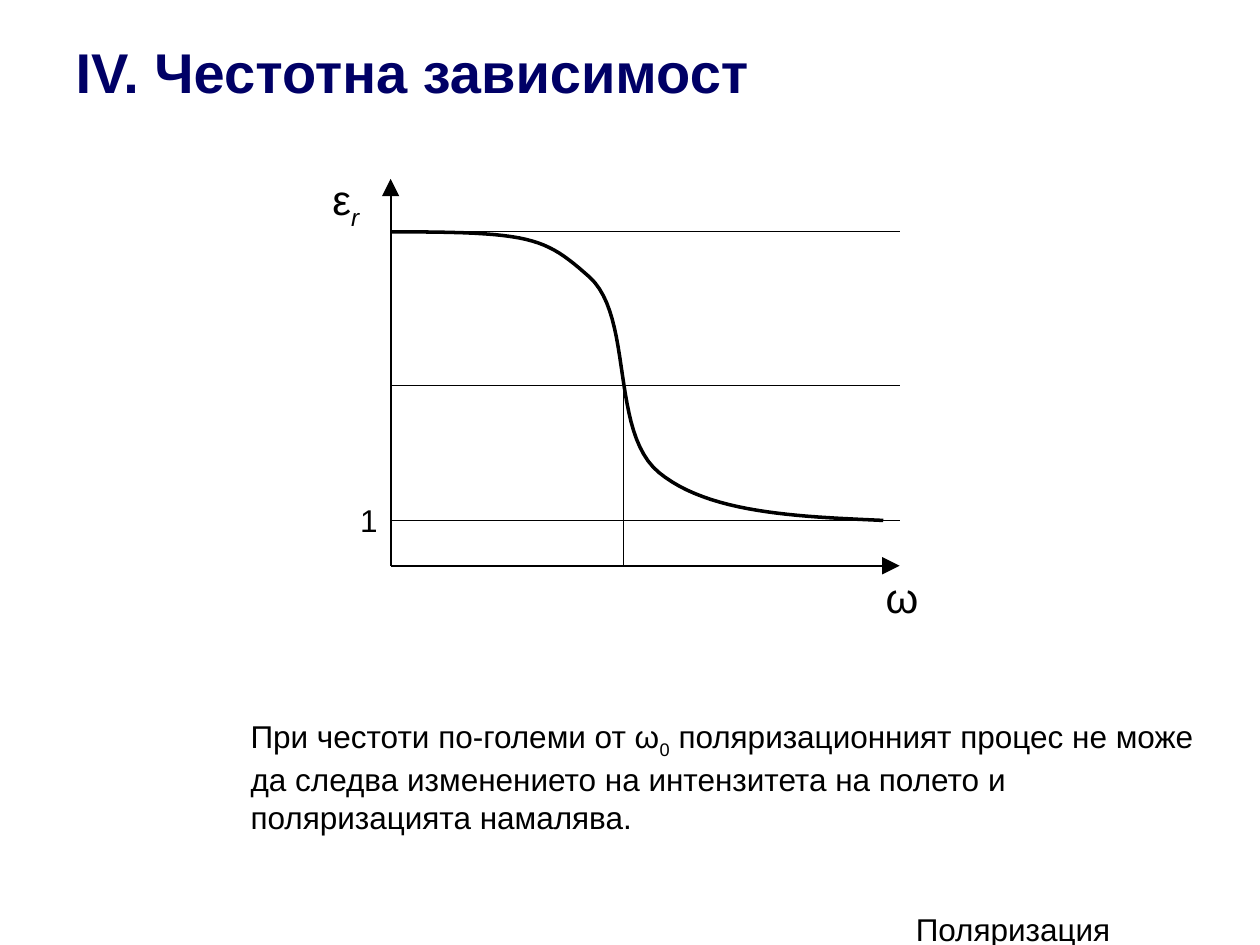
from pptx import Presentation
from pptx import util as u
from pptx.dml import color
from pptx.enum import shapes, text
from pptx.oxml import ns
from lxml import etree

HUES = {"ink": "000000", "navy": "000066"}
FRAME = {
    "margin_left": u.Inches(0.1), "margin_right": u.Inches(0.1),
    "margin_top": u.Inches(0.05), "margin_bottom": u.Inches(0.05),
    "word_wrap": True, "auto_size": text.MSO_AUTO_SIZE.NONE,
    "vertical_anchor": text.MSO_ANCHOR.TOP,
}


def apply(item, form):
    """Set each attribute of an item from a dict of values."""
    for key, val in form.items():
        setattr(item, key, val)


def paint(hue):
    """Return the named colour."""
    return color.RGBColor.from_string(HUES[hue])


def fill_text(shape, runs, size, hue="ink", bold=False):
    """Fill a shape with one paragraph of (words, format, baseline) runs."""
    frame = shape.text_frame
    apply(frame, FRAME)
    para = frame.paragraphs[0]
    apply(para, {"alignment": text.PP_ALIGN.LEFT, "space_before": u.Pt(0)})
    for words, form, base in runs:
        run = para.add_run()
        run.text = words
        apply(run.font, {"name": "Arial", "size": u.Pt(size), "bold": bold, **form})
        run.font.color.rgb = paint(hue)
        if base:
            run._r.get_or_add_rPr().set("baseline", str(base * 1000))


def add_text(slide, box, runs, size):
    """Add a text box at the given place."""
    shape = slide.shapes.add_textbox(*map(u.Inches, box))
    fill_text(shape, runs, size)


def add_line(slide, start, end, width=0.75, arrow=False):
    """Draw a straight line, with an arrowhead at its end if asked."""
    ends = map(u.Inches, (*start, *end))
    line = slide.shapes.add_connector(shapes.MSO_CONNECTOR.STRAIGHT, *ends)
    line.line.color.rgb = paint("ink")
    line.line.width = u.Pt(width)
    if arrow:
        etree.SubElement(line.line._get_or_add_ln(), ns.qn("a:tailEnd"),
                         type="triangle", w="lg", len="lg")
    etree.SubElement(line._element.spPr, ns.qn("a:effectLst"))


def add_curve(slide, start, parts, steps=24):
    """Draw a smooth open curve through cubic Bezier parts."""
    dots, here = [], start
    for one, two, end in parts:
        for step in range(1, steps + 1):
            t = step / steps
            s = 1 - t
            dots.append(tuple(
                u.Inches(s**3 * a + 3 * s * s * t * b + 3 * s * t * t * c + t**3 * d)
                for a, b, c, d in zip(here, one, two, end)))
        here = end
    pen = slide.shapes.build_freeform(*map(u.Inches, start))
    pen.add_line_segments(dots, close=False)
    shape = pen.convert_to_shape()
    shape.shadow.inherit = False
    shape.fill.background()
    shape.line.color.rgb = paint("ink")
    shape.line.width = u.Pt(2)


def add_title(slide, box):
    """Place the slide title."""
    title = slide.shapes.title
    names = ("left", "top", "width", "height")
    apply(title, dict(zip(names, map(u.Inches, box))))
    fill_text(title, [("ІV. Честотна зависимост", {}, 0)], 32, "navy", True)


def add_graph(slide, box):
    """Draw permittivity against frequency, with axes in the given box."""
    left, top, wide, tall = box
    right, base = left + wide, top + tall
    high, mid, low = top + 0.42, top + 1.64, top + 2.71
    turn = left + 1.85
    for end in ((left, top), (right, base)):
        add_line(slide, (left, base), end, 1.25, True)
    for level in (high, mid, low):
        add_line(slide, (left, level), (right, level))
    add_line(slide, (turn, mid), (turn, base))
    parts = [
        ((1.12, 0), (1.22, 0.04), (1.58, 0.36)),
        ((1.93, 0.68), (1.74, 1.59), (2.13, 1.91)),
        ((2.52, 2.23), (3.21, 2.26), (3.91, 2.29)),
    ]
    add_curve(slide, (left, high),
              [[(left + x, high + y) for x, y in part] for part in parts])
    add_text(slide, (left - 0.34, low - 0.2, 0.34, 0.4), [("1", {}, 0)], 18)
    add_text(slide, (left - 0.56, top - 0.09, 0.5, 0.5),
             [("ε", {}, 0), ("r", {"italic": True}, -25)], 24)
    add_text(slide, (right - 0.21, base, 0.45, 0.5), [("ω", {}, 0)], 24)


def add_note(slide, box):
    """Place the explanation under the graph."""
    add_text(slide, box, [
        ("При честоти по-големи от ω", {}, 0),
        ("0", {}, -25),
        (" поляризационният процес не може да следва изменението на "
         "интензитета на полето и поляризацията намалява.", {}, 0),
    ], 18)


def add_foot(slide, box):
    """Place the topic name at the foot of the slide."""
    add_text(slide, box, [("Поляризация", {}, 0)], 18)


def main():
    """Build and save the slide."""
    deck = Presentation()
    apply(deck, {"slide_width": u.Inches(10), "slide_height": u.Inches(7.5)})
    slide = deck.slides.add_slide(deck.slide_layouts[5])
    add_title(slide, (0.5, 0.25, 6, 0.63))
    add_graph(slide, (3.1, 1.42, 4.04, 3.07))
    add_note(slide, (1.89, 5.64, 7.89, 1))
    add_foot(slide, (7.17, 7.17, 2.33, 0.27))
    deck.save("out.pptx")


if __name__ == "__main__":
    main()
